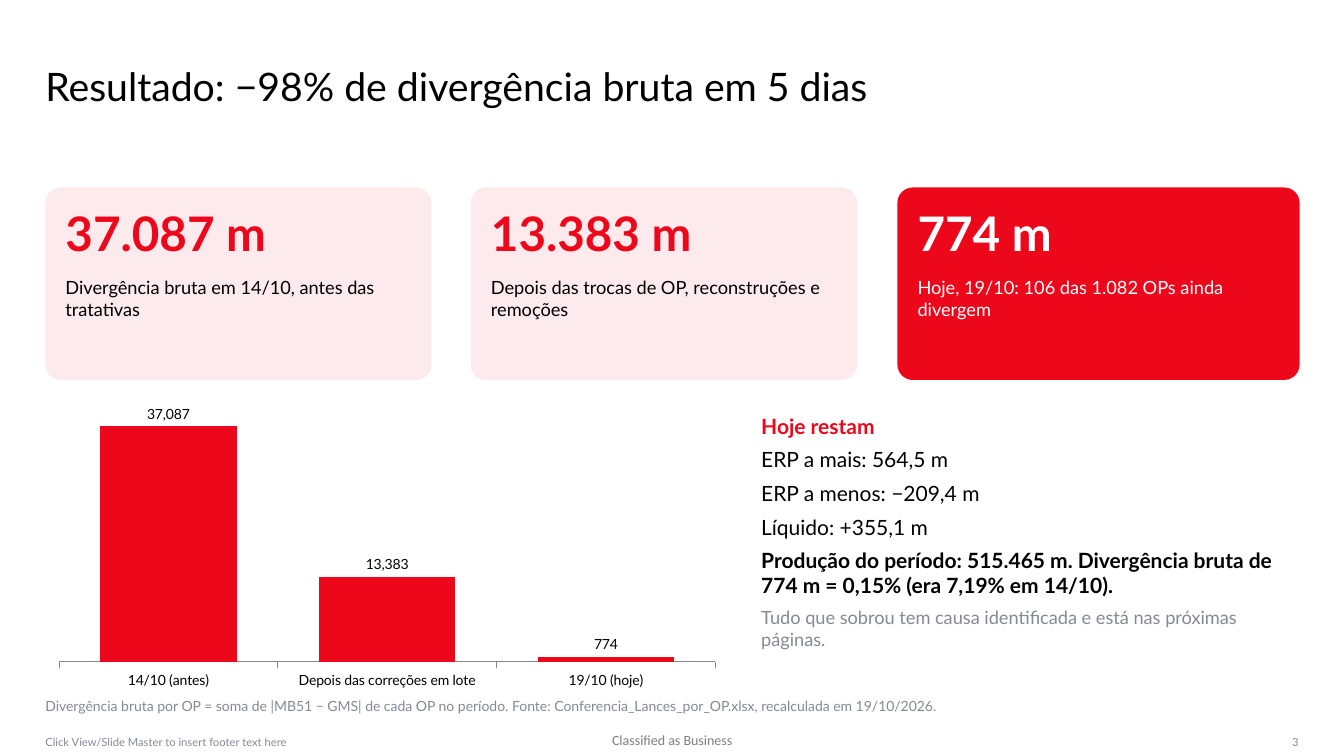
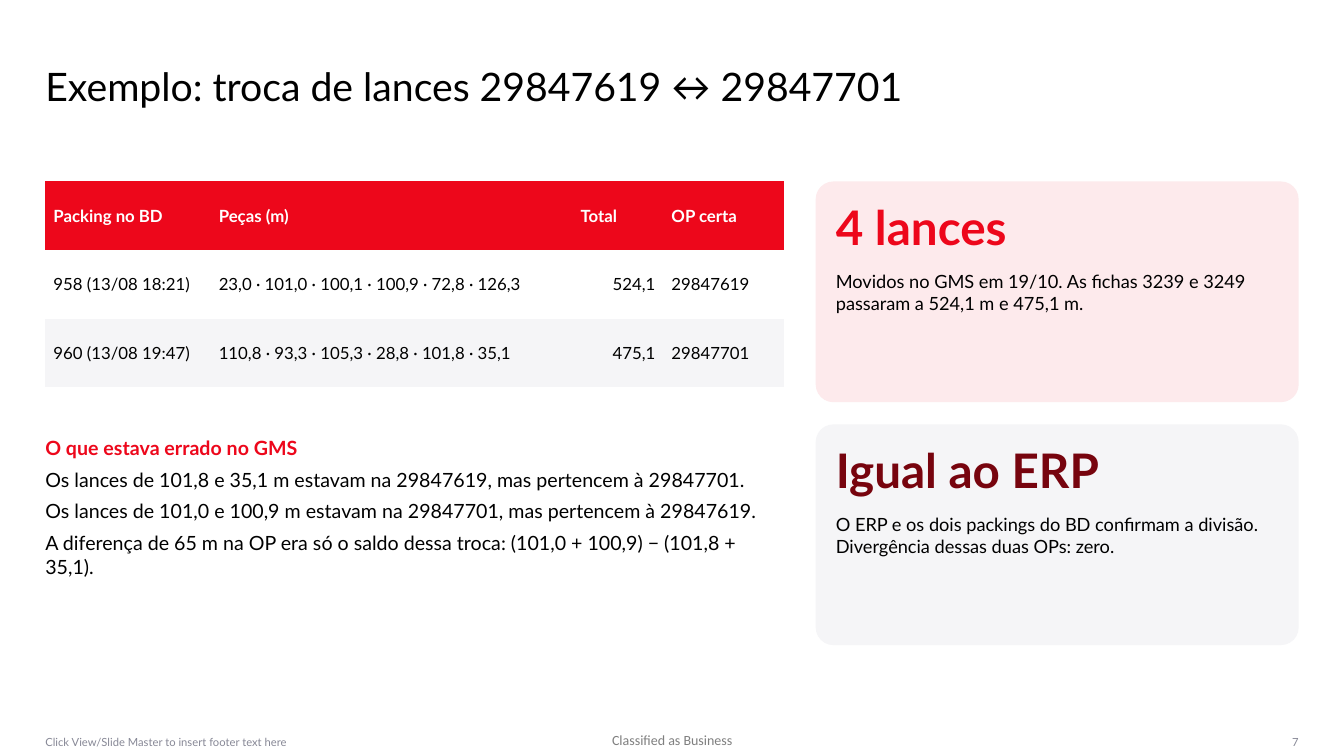
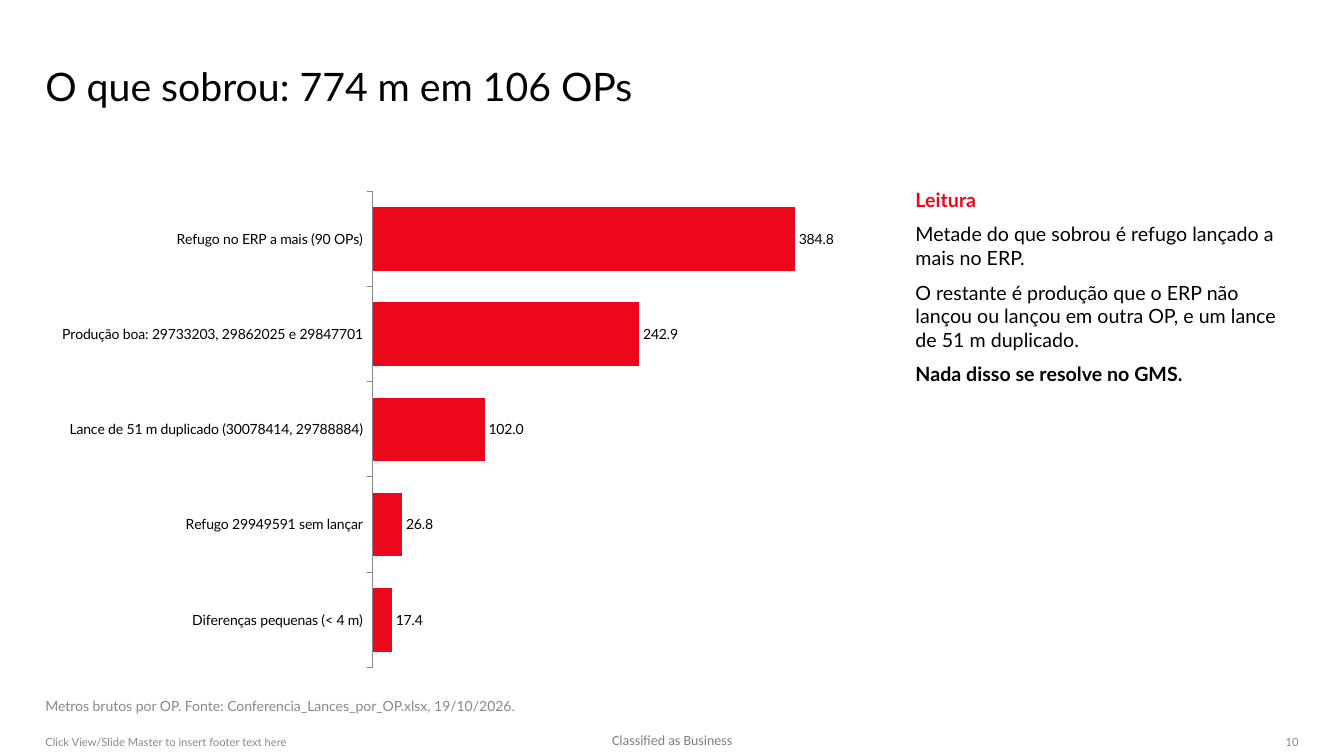
from pptx import Presentation
from pptx.chart.data import CategoryChartData
from pptx.dml.color import RGBColor
from pptx.enum.chart import XL_CHART_TYPE, XL_LABEL_POSITION, XL_TICK_MARK
from pptx.enum.shapes import MSO_SHAPE
from pptx.enum.text import MSO_ANCHOR, MSO_AUTO_SIZE, PP_ALIGN
from pptx.util import Inches, Pt

COLORS = {
    "red": "ED071B", "wine": "77040E", "pink": "FDEAEC", "light": "F5F5F7",
    "gray": "878896", "mid": "7F7F7F", "axis": "878787",
    "black": "000000", "white": "FFFFFF",
}
RGB = {name: RGBColor.from_string(value) for name, value in COLORS.items()}
LEFT = 0.45
CONTENT_TOP = 1.8
NO_STYLE = "{2D5ABB26-0587-4C30-8999-92F81FD0307C}"


def fill_text(tf, paragraphs, space=0, align=PP_ALIGN.LEFT, line=None,
              anchor=MSO_ANCHOR.TOP, margins=(0, 0)):
    side, vertical = margins
    frame_format = {
        "word_wrap": True, "vertical_anchor": anchor,
        "margin_left": Inches(side), "margin_right": Inches(side),
        "margin_top": Inches(vertical), "margin_bottom": Inches(vertical),
    }
    for name, value in frame_format.items():
        setattr(tf, name, value)
    for i, (text, size, color, bold) in enumerate(paragraphs):
        p = tf.paragraphs[0] if i == 0 else tf.add_paragraph()
        p.alignment = align
        p.space_after = Pt(space)
        if line:
            p.line_spacing = line
        r = p.add_run()
        r.text = text
        for name, value in {"name": "Lato", "size": Pt(size), "bold": bold}.items():
            setattr(r.font, name, value)
        r.font.color.rgb = RGB[color]


def add_card(s, box, fill, value, value_color, label, label_color):
    x, y, w, h = box
    sp = s.shapes.add_shape(MSO_SHAPE.ROUNDED_RECTANGLE, *map(Inches, box))
    sp.adjustments[0] = 0.08
    sp.shadow.inherit = False
    sp.fill.solid()
    sp.fill.fore_color.rgb = RGB[fill]
    sp.line.fill.background()
    rows = [
        (0.16, 0.66, (value, 34, value_color, True)),
        (0.88, h - 0.76, (label, 13, label_color, False)),
    ]
    for offset, height, paragraph in rows:
        tb = s.shapes.add_textbox(Inches(x + 0.2), Inches(y + offset),
                                  Inches(w - 0.4), Inches(height))
        fill_text(tb.text_frame, [paragraph], 4)


prs = Presentation()
prs.slide_width, prs.slide_height = Inches(13.33), Inches(7.5)

slides = []
pages = [
    ("Resultado: −98% de divergência bruta em 5 dias", "3"),
    ("Exemplo: troca de lances 29847619 ↔ 29847701", "7"),
    ("O que sobrou: 774 m em 106 OPs", "10"),
]
for title, number in pages:
    s = prs.slides.add_slide(prs.slide_layouts[5])
    slides.append(s)
    sp = s.shapes.title
    sp.left, sp.top, sp.width, sp.height = map(Inches, (LEFT, 0.65, 9.27, 0.88))
    sp.text_frame.auto_size = MSO_AUTO_SIZE.NONE
    fill_text(sp.text_frame, [(title, 28, "black", False)], line=0.95)
    footers = [
        ((12.6, 7.32, 0.28, 0.11), number, PP_ALIGN.RIGHT),
        ((LEFT, 7.32, 6.1, 0.11), "Click View/Slide Master to insert footer text here", PP_ALIGN.LEFT),
    ]
    for box, text, align in footers:
        tb = s.shapes.add_textbox(*map(Inches, box))
        fill_text(tb.text_frame, [(text, 8, "gray", False)], align=align,
                  line=0.83, anchor=MSO_ANCHOR.MIDDLE)
    tb = s.shapes.add_textbox(*map(Inches, (6.07, 7.26, 1.22, 0.17)))
    fill_text(tb.text_frame, [("Classified as Business", 10, "mid", False)])
    tb.text_frame.paragraphs[0].runs[0].font.name = "Calibri"

result, example, remainder = slides

cards = [
    (result, (LEFT, 1.86, 3.83, 1.91), "pink", "37.087 m", "red",
     "Divergência bruta em 14/10, antes das tratativas", "black"),
    (result, (4.67, 1.86, 3.83, 1.91), "pink", "13.383 m", "red",
     "Depois das trocas de OP, reconstruções e remoções", "black"),
    (result, (8.9, 1.86, 3.99, 1.91), "red", "774 m", "white",
     "Hoje, 19/10: 106 das 1.082 OPs ainda divergem", "white"),
    (example, (8.09, CONTENT_TOP, 4.79, 2.19), "pink", "4 lances", "red",
     "Movidos no GMS em 19/10. As fichas 3239 e 3249 passaram a 524,1 m e 475,1 m.", "black"),
    (example, (8.09, 4.21, 4.79, 2.19), "light", "Igual ao ERP", "wine",
     "O ERP e os dois packings do BD confirmam a divisão. Divergência dessas duas OPs: zero.", "black"),
]
for card in cards:
    add_card(*card)

charts = [
    (result, (LEFT, 3.99, 6.78, 2.9), XL_CHART_TYPE.COLUMN_CLUSTERED, 60, 40000, "#,##0",
     [("14/10 (antes)", 37087), ("Depois das correções em lote", 13383), ("19/10 (hoje)", 774)]),
    (remainder, (LEFT, CONTENT_TOP, 8.31, 4.92), XL_CHART_TYPE.BAR_CLUSTERED, 50, 450, "#,##0.0",
     [("Diferenças pequenas (< 4 m)", 17.4),
      ("Refugo 29949591 sem lançar", 26.8),
      ("Lance de 51 m duplicado (30078414, 29788884)", 102),
      ("Produção boa: 29733203, 29862025 e 29847701", 242.9),
      ("Refugo no ERP a mais (90 OPs)", 384.8)]),
]
for s, box, kind, gap, maximum, number_format, points in charts:
    data = CategoryChartData()
    data.categories = [name for name, value in points]
    data.add_series("Series 1", [value for name, value in points])
    chart = s.shapes.add_chart(kind, *map(Inches, box), data).chart
    chart.has_legend = False
    chart.has_title = False
    chart.font.name = "Lato"
    chart.font.size = Pt(18)
    chart.font.color.rgb = RGB["black"]
    axis = chart.value_axis
    axis.visible = False
    axis.has_major_gridlines = False
    axis.minimum_scale, axis.maximum_scale = 0, maximum
    axis = chart.category_axis
    axis.major_tick_mark = XL_TICK_MARK.OUTSIDE
    axis.tick_labels.font.size = Pt(10)
    axis.format.line.color.rgb = RGB["axis"]
    plot = chart.plots[0]
    plot.gap_width = gap
    plot.vary_by_categories = False
    fill = plot.series[0].format.fill
    fill.solid()
    fill.fore_color.rgb = RGB["red"]
    plot.has_data_labels = True
    label_format = {
        "show_value": True, "position": XL_LABEL_POSITION.OUTSIDE_END,
        "number_format": number_format, "number_format_is_linked": False,
    }
    for name, value in label_format.items():
        setattr(plot.data_labels, name, value)
    plot.data_labels.font.size = Pt(10)

rows = [
    ("Packing no BD", "Peças (m)", "Total", "OP certa"),
    ("958 (13/08 18:21)", "23,0 · 101,0 · 100,1 · 100,9 · 72,8 · 126,3", "524,1", "29847619"),
    ("960 (13/08 19:47)", "110,8 · 93,3 · 105,3 · 28,8 · 101,8 · 35,1", "475,1", "29847701"),
]
frame = example.shapes.add_table(3, 4, *map(Inches, (LEFT, CONTENT_TOP, 7.33, 2.04)))
frame.element.xpath(".//a:tableStyleId")[0].text = NO_STYLE
table = frame.table
for column, width in zip(table.columns, (1.64, 3.59, 0.9, 1.2)):
    column.width = Inches(width)
for i, (row, fill) in enumerate(zip(rows, ("red", "white", "light"))):
    table.rows[i].height = Inches(0.68)
    for j, text in enumerate(row):
        cell = table.cell(i, j)
        cell.fill.solid()
        cell.fill.fore_color.rgb = RGB[fill]
        header = i == 0
        align = PP_ALIGN.RIGHT if j == 2 and not header else PP_ALIGN.LEFT
        fill_text(cell.text_frame, [(text, 12, "white" if header else "black", header)], align=align)
        cell.vertical_anchor = MSO_ANCHOR.MIDDLE
        cell.margin_left = cell.margin_right = Inches(0.08)
        cell.margin_top = cell.margin_bottom = Inches(0.04)

notes = [
    (result, (7.55, 4.1, 5.34, 2.73), 6, [
        ("Hoje restam", 15, "red", True),
        ("ERP a mais: 564,5 m", 15, "black", False),
        ("ERP a menos: −209,4 m", 15, "black", False),
        ("Líquido: +355,1 m", 15, "black", False),
        ("Produção do período: 515.465 m. Divergência bruta de 774 m = 0,15% (era 7,19% em 14/10).",
         15, "black", True),
        ("Tudo que sobrou tem causa identificada e está nas próximas páginas.", 13, "gray", False)]),
    (result, (LEFT, 6.92, 12.43, 0.27), 4, [
        ("Divergência bruta por OP = soma de |MB51 − GMS| de cada OP no período. "
         "Fonte: Conferencia_Lances_por_OP.xlsx, recalculada em 19/10/2026.", 10, "gray", False)]),
    (example, (LEFT, 4.32, 7.33, 2.52), 6, [
        ("O que estava errado no GMS", 14, "red", True),
        ("Os lances de 101,8 e 35,1 m estavam na 29847619, mas pertencem à 29847701.", 14, "black", False),
        ("Os lances de 101,0 e 100,9 m estavam na 29847701, mas pertencem à 29847619.", 14, "black", False),
        ("A diferença de 65 m na OP era só o saldo dessa troca: (101,0 + 100,9) − (101,8 + 35,1).",
         14, "black", False)]),
    (remainder, (9.08, 1.86, 3.81, 4.81), 8, [
        ("Leitura", 14, "red", True),
        ("Metade do que sobrou é refugo lançado a mais no ERP.", 14, "black", False),
        ("O restante é produção que o ERP não lançou ou lançou em outra OP, e um lance de 51 m duplicado.",
         14, "black", False),
        ("Nada disso se resolve no GMS.", 14, "black", True)]),
    (remainder, (LEFT, 6.92, 12.43, 0.27), 4, [
        ("Metros brutos por OP. Fonte: Conferencia_Lances_por_OP.xlsx, 19/10/2026.", 10, "gray", False)]),
]
for s, box, space, paragraphs in notes:
    tb = s.shapes.add_textbox(*map(Inches, box))
    fill_text(tb.text_frame, paragraphs, space)

prs.save("out.pptx")
